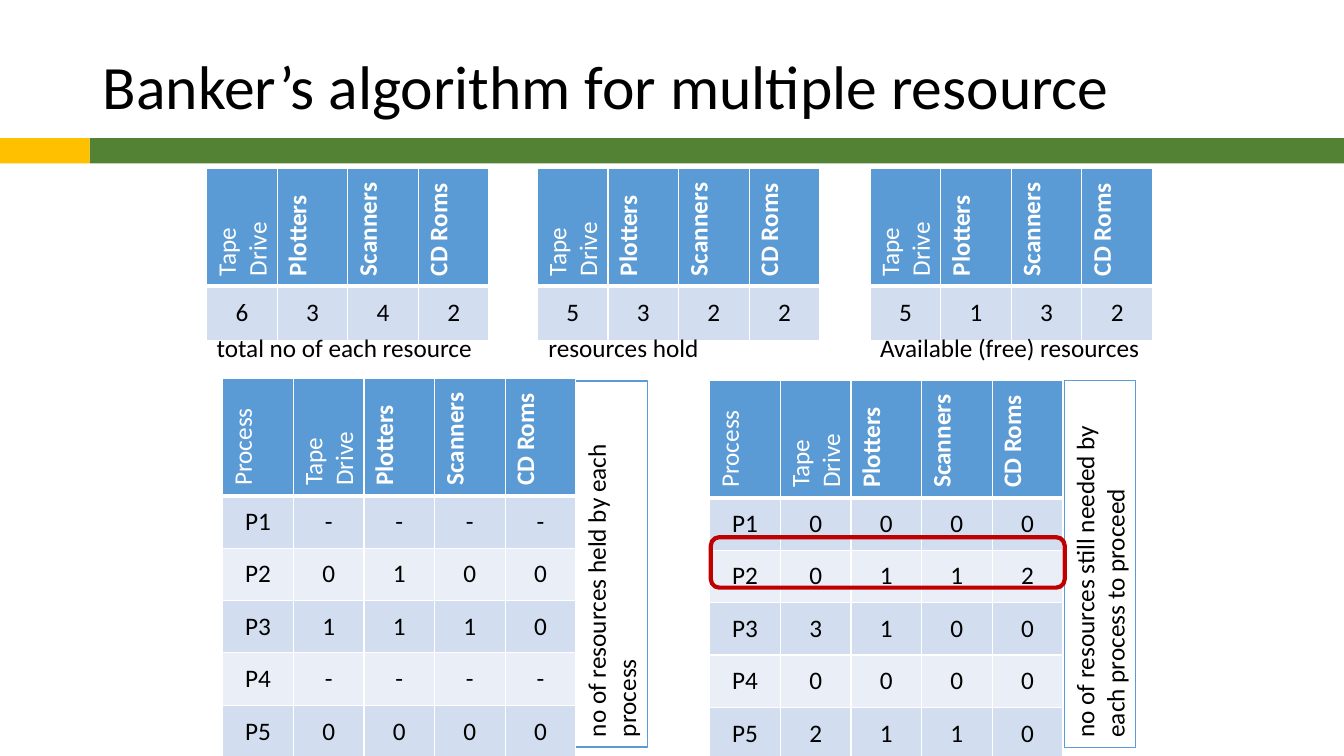
"""Build the slide on the Banker's algorithm for multiple resources."""
from dataclasses import dataclass

from lxml import etree
from pptx import Presentation
from pptx.dml.color import RGBColor
from pptx.enum.shapes import MSO_SHAPE
from pptx.enum.text import MSO_ANCHOR, MSO_AUTO_SIZE, PP_ALIGN
from pptx.oxml.ns import qn
from pptx.util import Inches, Pt

RECTANGLE, ROUNDED = MSO_SHAPE.RECTANGLE, MSO_SHAPE.ROUNDED_RECTANGLE
TOP, MIDDLE = MSO_ANCHOR.TOP, MSO_ANCHOR.MIDDLE
LEFT, CENTER = PP_ALIGN.LEFT, PP_ALIGN.CENTER
FIXED, GROW = MSO_AUTO_SIZE.NONE, MSO_AUTO_SIZE.SHAPE_TO_FIT_TEXT


@dataclass(frozen=True)
class Theme:
    """Hold the font, type sizes and colours of the slide."""
    font: str = "Calibri"
    title_size: int = 44
    body_size: int = 18
    ink: str = "000000"
    paper: str = "FFFFFF"
    green: str = "548235"
    amber: str = "FFC000"
    header: str = "5B9BD5"
    odd_row: str = "D2DEEF"
    even_row: str = "EAEFF7"
    highlight: str = "C00000"


THEME = Theme()
RESOURCES = ["Tape Drive", "Plotters", "Scanners", "CD Roms"]
PROCESS_HEADER = ["Process", *RESOURCES]
PLAIN_HEADERS = {"Process", "Tape Drive"}
COLUMN_WIDTH = 0.7
SUMMARY_TOP = 1.67
CAPTION_TOP = 3.25
SUMMARY_HEIGHTS = (1.06, 0.54)
PROCESS_HEIGHTS = (1.04, 0.52)

SUMMARIES = [
    (2.05, "6342", 2.05, 2.75, "total no of each resource"),
    (5.33, "5322", 5.34, 2.75, "resources hold"),
    (8.63, "5132", 8.63, 2.88, "Available (free) resources"),
]
PROCESSES = [
    (2.21, 3.75, ["----", "0100", "1110", "----", "0000"],
     (4.25, 5.24, 3.63, 0.71), "no of resources held by each process"),
    (7.04, 3.77, ["0000", "0112", "3100", "0000", "2110"],
     (9.09, 5.24, 3.64, 0.71),
     "no of resources still needed by each process to proceed"),
]


def apply(target, values):
    """Set each named attribute of the target."""
    for name, value in values.items():
        setattr(target, name, value)


def write(frame, text, size=THEME.body_size, color=THEME.ink, bold=False,
          align=LEFT):
    """Write one formatted paragraph into a text frame."""
    para = frame.paragraphs[0]
    para.alignment = align
    span = para.add_run()
    span.text = text
    apply(span.font, {"name": THEME.font, "size": Pt(size), "bold": bold})
    span.font.color.rgb = RGBColor.from_string(color)
    return para


def add_title(page, text):
    """Place and format the title."""
    title = page.shapes.title
    apply(title, {"left": Inches(0.92), "top": Inches(0.4),
                  "width": Inches(11.5), "height": Inches(0.97)})
    apply(title.text_frame, {"vertical_anchor": MIDDLE, "word_wrap": True,
                             "auto_size": FIXED})
    para = write(title.text_frame, text, THEME.title_size)
    para.line_spacing = 0.9


def add_box(page, place, kind=RECTANGLE, fill=None, line=None, weight=1):
    """Add a preset shape with optional fill and outline."""
    box = page.shapes.add_shape(kind, *map(Inches, place))
    box.shadow.inherit = False
    if fill:
        box.fill.solid()
        box.fill.fore_color.rgb = RGBColor.from_string(fill)
    else:
        box.fill.background()
    if line:
        box.line.color.rgb = RGBColor.from_string(line)
        box.line.width = Pt(weight)
    else:
        box.line.fill.background()
    return box


def add_label(box, text):
    """Write a wrapped label at the top left of a box."""
    apply(box.text_frame, {"word_wrap": True, "auto_size": GROW,
                           "vertical_anchor": TOP})
    write(box.text_frame, text)


def set_borders(cell, bottom):
    """Give a cell white borders, with its own weight at the bottom."""
    properties = cell._tc.get_or_add_tcPr()
    for side, weight in (("L", 1), ("R", 1), ("T", 1), ("B", bottom)):
        edge = etree.SubElement(properties, qn(f"a:ln{side}"), w=str(Pt(weight)))
        paint = etree.SubElement(edge, qn("a:solidFill"))
        etree.SubElement(paint, qn("a:srgbClr"), val=THEME.paper)


def format_cell(cell, text, row):
    """Format a cell as an upright header or a banded value."""
    is_header = row == 0
    set_borders(cell, 3 if is_header else 1)
    cell.vertical_anchor = MIDDLE
    cell.fill.solid()
    if is_header:
        cell._tc.get_or_add_tcPr().set("vert", "vert270")
        fill = THEME.header
        write(cell.text_frame, text, color=THEME.paper,
              bold=text not in PLAIN_HEADERS)
    else:
        apply(cell, {"margin_top": 0, "margin_bottom": 0})
        fill = THEME.odd_row if row % 2 else THEME.even_row
        write(cell.text_frame, text, align=CENTER)
    cell.fill.fore_color.rgb = RGBColor.from_string(fill)


def add_grid(page, left, top, rows, heights):
    """Add a table with one header row above equal value rows."""
    header_height, row_height = heights
    width = COLUMN_WIDTH * len(rows[0])
    height = header_height + row_height * (len(rows) - 1)
    table = page.shapes.add_table(len(rows), len(rows[0]), Inches(left),
                                  Inches(top), Inches(width),
                                  Inches(height)).table
    for column in table.columns:
        column.width = Inches(COLUMN_WIDTH)
    for index, values in enumerate(rows):
        table.rows[index].height = Inches(row_height if index else header_height)
        for column, text in enumerate(values):
            format_cell(table.cell(index, column), text, index)


def main():
    """Build and save the slide."""
    deck = Presentation()
    apply(deck, {"slide_width": Inches(13.33), "slide_height": Inches(7.5)})
    page = deck.slides.add_slide(deck.slide_layouts[5])
    add_box(page, (0.89, 1.37, 12.44, 0.25), fill=THEME.green)
    add_box(page, (0, 1.37, 0.89, 0.25), fill=THEME.amber)
    add_title(page, "Banker’s algorithm for multiple resource")

    for left, counts, caption_left, caption_width, caption in SUMMARIES:
        add_grid(page, left, SUMMARY_TOP, [RESOURCES, counts], SUMMARY_HEIGHTS)
        place = (caption_left, CAPTION_TOP, caption_width, 0.4)
        add_label(page.shapes.add_textbox(*map(Inches, place)), caption)

    for left, top, counts, place, note in PROCESSES:
        side_note = add_box(page, place, fill=THEME.paper, line=THEME.header)
        side_note.rotation = 270
        add_label(side_note, note)
        rows = [[f"P{number}", *row] for number, row in enumerate(counts, 1)]
        add_grid(page, left, top, [PROCESS_HEADER, *rows], PROCESS_HEIGHTS)

    add_box(page, (7.05, 5.33, 3.51, 0.5), ROUNDED,
            line=THEME.highlight, weight=3)
    deck.save("out.pptx")


if __name__ == "__main__":
    main()
